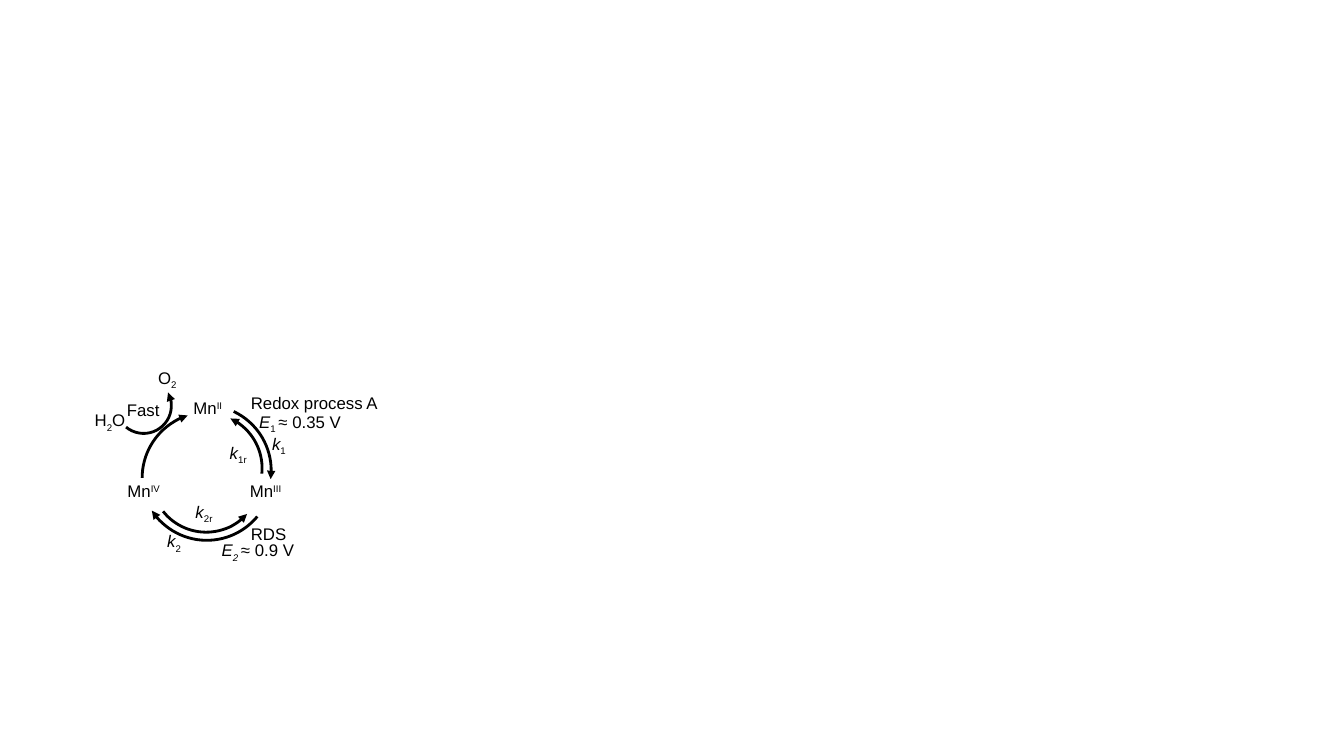
"""Build a slide that shows the catalytic cycle of manganese in water oxidation."""
from dataclasses import dataclass

from lxml import etree
from pptx import Presentation
from pptx import util as u
from pptx.dml.color import RGBColor
from pptx.enum import shapes, text
from pptx.oxml.ns import qn


@dataclass(frozen=True)
class Theme:
    font: str = "Arial"
    size: int = 12
    ink: RGBColor = RGBColor(0, 0, 0)
    line_width: int = 2
    label_height: float = 0.3
    superscript: int = 30000
    subscript: int = -25000


def add_run(paragraph, content, theme, italic=False, baseline=0):
    run = paragraph.add_run()
    run.text = content
    run.font.name = theme.font
    run.font.size = u.Pt(theme.size)
    run.font.color.rgb = theme.ink
    run.font.italic = italic
    if baseline:
        run._r.get_or_add_rPr().set("baseline", str(baseline))


class CycleSlide:
    def __init__(self, slide, theme):
        self.slide = slide
        self.theme = theme

    def label(self, left, top, width, base, sub="", sup="", rest="", italic=False,
              script_italic=False, wrap=False, centred=False, tight=False):
        theme = self.theme
        height = 0.2 if tight else theme.label_height
        box = self.slide.shapes.add_textbox(*map(u.Inches, (left, top, width, height)))
        frame = box.text_frame
        frame.word_wrap = wrap
        frame.auto_size = text.MSO_AUTO_SIZE.SHAPE_TO_FIT_TEXT
        if tight:
            frame.margin_left = frame.margin_right = 0
            frame.margin_top = frame.margin_bottom = 0
        paragraph = frame.paragraphs[0]
        if centred:
            paragraph.alignment = text.PP_ALIGN.CENTER
        add_run(paragraph, base, theme, italic=italic)
        if sub or sup:
            baseline = theme.subscript if sub else theme.superscript
            add_run(paragraph, sub or sup, theme, italic=script_italic, baseline=baseline)
        if rest:
            add_run(paragraph, rest, theme)

    def arrow(self, group, left, top, diameter, rotation, start, end, flipped=False):
        size = u.Inches(diameter)
        arc = group.shapes.add_shape(
            shapes.MSO_SHAPE.ARC, u.Inches(left), u.Inches(top), size, size)
        arc.shadow.inherit = False
        arc.rotation = rotation
        arc.adjustments[0], arc.adjustments[1] = start, end
        arc.fill.background()
        arc.line.color.rgb = self.theme.ink
        arc.line.width = u.Pt(self.theme.line_width)
        etree.SubElement(arc.line._get_or_add_ln(), qn("a:tailEnd"), type="triangle")
        if flipped:
            arc._element.spPr.find(qn("a:xfrm")).set("flipH", "1")

    def arrows(self, *arcs):
        group = self.slide.shapes.add_group_shape()
        for arc in arcs:
            self.arrow(group, *arc)


def main():
    presentation = Presentation()
    presentation.slide_width = u.Inches(13.33)
    presentation.slide_height = u.Inches(7.5)
    slide = presentation.slides.add_slide(presentation.slide_layouts[6])
    cycle = CycleSlide(slide, Theme())

    cycle.label(1.82, 3.9, 0.51, "Mn", sup="II")
    cycle.label(2.38, 4.72, 0.54, "Mn", sup="III")
    cycle.label(1.15, 4.72, 0.55, "Mn", sup="IV", centred=True)

    rate_constants = [
        (2.6, 4.25, 0.36, "1"),
        (2.18, 4.34, 0.39, "1r"),
        (1.56, 5.22, 0.36, "2"),
        (1.84, 4.93, 0.39, "2r"),
    ]
    for left, top, width, index in rate_constants:
        cycle.label(left, top, width, "k", sub=index, italic=True)

    cycle.label(2.39, 5.15, 0.56, "RDS")
    cycle.label(2.57, 4.08, 0.83, "E", sub="1 ", rest="≈ 0.35 V", italic=True, tight=True)

    cycle.arrows(
        (1.51, 4.1, 1.09, 126.7, 180.62, 6.97, True),
        (1.5, 4.19, 1.09, 255.6, 176.4, 20.22, True),
        (1.4, 4.06, 1.3, 132.5, 160.23, 8.64),
        (1.39, 4.02, 1.3, 0, 177.19, 4.44),
        (1.15, 3.75, 0.55, 174.8, 135.29, 13.95, True),
        (1.41, 4.09, 1.3, 239.7, 180.18, 7.51),
    )

    cycle.label(0.84, 4.02, 0.52, "H", sub="2", rest="O")
    cycle.label(1.47, 3.6, 0.4, "O", sub="2")
    cycle.label(1.16, 3.92, 0.53, "Fast", wrap=True)
    cycle.label(2.39, 3.85, 1.47, "Redox process A")
    cycle.label(2.1, 5.31, 0.96, "E", sub="2 ", rest="≈ 0.9 V", italic=True,
                script_italic=True)

    presentation.save("out.pptx")


if __name__ == "__main__":
    main()
